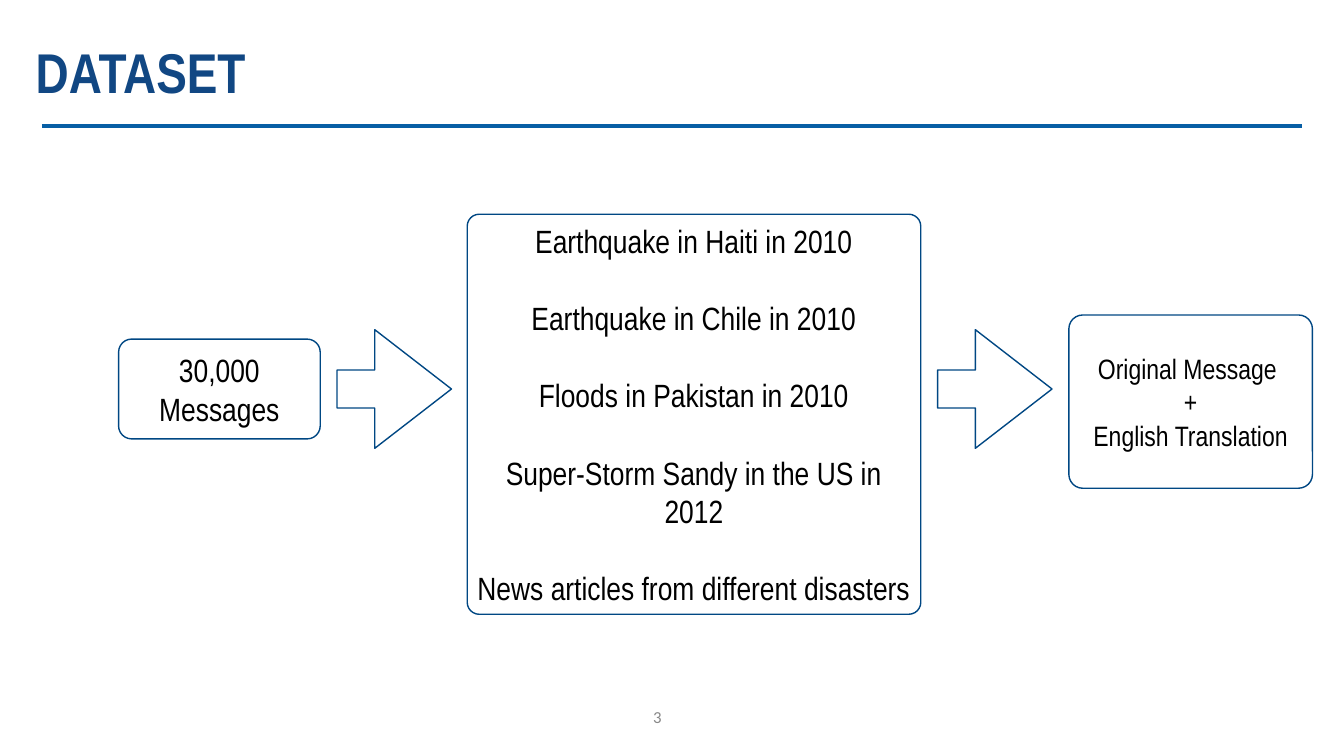
from dataclasses import dataclass

from lxml.etree import SubElement
from pptx import Presentation
from pptx.dml.color import RGBColor
from pptx.enum.shapes import MSO_CONNECTOR as CONN, MSO_SHAPE as SHAPE
from pptx.enum.text import MSO_ANCHOR as ANCHOR, MSO_AUTO_SIZE as AUTO, PP_ALIGN as ALIGN
from pptx.oxml.ns import qn
from pptx.util import Emu, Pt


@dataclass(frozen=True)
class Theme:
    title: str = "114783"
    rule: str = "075FA5"
    outline: str = "004783"
    text: str = "000000"
    number: str = "888888"
    paper: str = "FFFFFF"
    font: str = "Arial Narrow"
    number_font: str = "Calibri"
    title_size: int = 40
    box_size: int = 23
    small_size: int = 20
    number_size: int = 12
    rule_width: float = 2.25
    outline_width: float = 1


@dataclass(frozen=True)
class Box:
    x: int
    y: int
    w: int
    h: int
    lines: tuple[str, ...]
    size: int
    radius: float
    gap: float = 0


THEME = Theme()
INSET = 5
ARROW_Y, ARROW_W, ARROW_H = 314, 109, 113
ARROW_XS = (321, 893)
BOXES = (
    Box(113, 323, 192, 95, ("30,000", "Messages"), THEME.box_size, 0.13),
    Box(445, 204, 432, 381, (
        "Earthquake in Haiti in 2010",
        "Earthquake in Chile in 2010",
        "Floods in Pakistan in 2010",
        "Super-Storm Sandy in the US in 2012",
        "News articles from different disasters",
    ), THEME.box_size, 0.03, gap=27.6),
    Box(1018, 300, 232, 165, ("Original Message ", "+", "English Translation"),
        THEME.small_size, 0.08),
)


def px(n: int) -> Emu:
    return Emu(n * 9525)


def rgb(color: str) -> RGBColor:
    return RGBColor.from_string(color)


def write(sp, lines: tuple[str, ...], *, size: int, color: str = THEME.text,
          font: str = THEME.font, bold: bool = False, align=ALIGN.CENTER,
          gap: float = 0, spacing: float = 1.0, wrap: bool = True) -> None:
    tf = sp.text_frame
    tf.auto_size = AUTO.NONE if wrap else AUTO.SHAPE_TO_FIT_TEXT
    tf.word_wrap = wrap
    tf.vertical_anchor = ANCHOR.MIDDLE
    tf.margin_left = tf.margin_right = tf.margin_top = tf.margin_bottom = px(INSET)
    for i, line in enumerate(lines):
        p = tf.add_paragraph() if i else tf.paragraphs[0]
        p.alignment = align
        p.line_spacing = spacing
        p.space_before = Pt(gap if i else 0)
        r = p.add_run()
        r.text = line
        r.font.name, r.font.size, r.font.bold = font, Pt(size), bold
        r.font.color.rgb = rgb(color)


def add_outlined(slide, kind: SHAPE, x: int, y: int, w: int, h: int,
                 *adjustments: float):
    sp = slide.shapes.add_shape(kind, px(x), px(y), px(w), px(h))
    for i, value in enumerate(adjustments):
        sp.adjustments[i] = value
    sp.shadow.inherit = False
    sp.fill.solid()
    sp.fill.fore_color.rgb = rgb(THEME.paper)
    sp.line.color.rgb = rgb(THEME.outline)
    sp.line.width = Pt(THEME.outline_width)
    return sp


def add_rule(slide, x1: int, x2: int, y: int) -> None:
    line = slide.shapes.add_connector(CONN.STRAIGHT, px(x1), px(y), px(x2), px(y))
    line.line.color.rgb = rgb(THEME.rule)
    line.line.width = Pt(THEME.rule_width)
    SubElement(line._element.spPr, qn("a:effectLst"))


def main() -> None:
    prs = Presentation()
    prs.slide_width, prs.slide_height = px(1280), px(720)
    slide = prs.slides.add_slide(prs.slide_layouts[5])

    # Heading
    add_rule(slide, 40, 1240, 120)
    title = slide.shapes.title
    title.left, title.top, title.width, title.height = px(29), px(24), px(1223), px(96)
    write(title, ("DATASET",), size=THEME.title_size, color=THEME.title, bold=True,
          align=ALIGN.LEFT, spacing=0.9)

    # Slide number
    number = slide.shapes.add_textbox(px(617), px(669), px(18), px(28))
    write(number, ("3",), size=THEME.number_size, color=THEME.number,
          font=THEME.number_font, align=ALIGN.LEFT, wrap=False)

    # Flow of messages
    for box in BOXES:
        sp = add_outlined(slide, SHAPE.ROUNDED_RECTANGLE, box.x, box.y, box.w, box.h,
                          box.radius)
        write(sp, box.lines, size=box.size, gap=box.gap)
    for x in ARROW_XS:
        add_outlined(slide, SHAPE.RIGHT_ARROW, x, ARROW_Y, ARROW_W, ARROW_H, 0.32, 0.67)

    prs.save("out.pptx")


if __name__ == "__main__":
    main()
